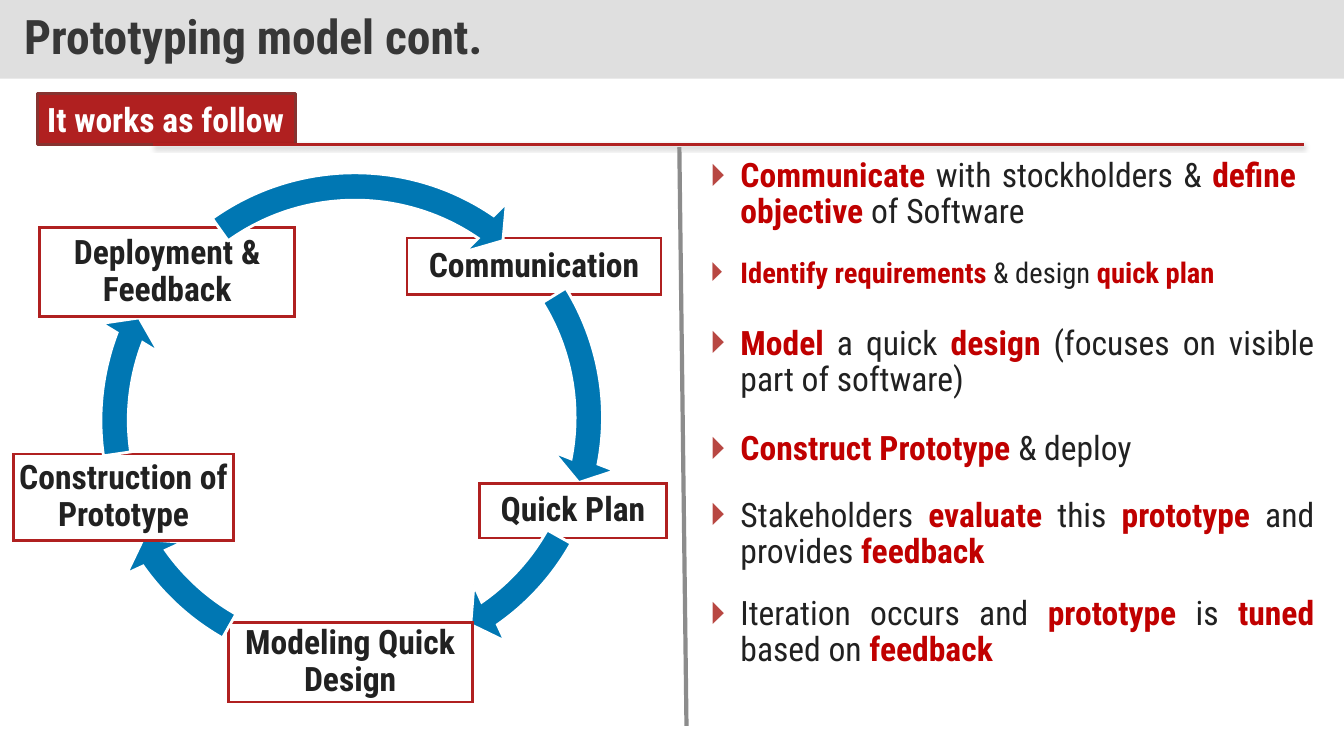
"""Build a slide on the prototyping model: a cycle of five steps beside a list."""
from math import cos, radians, sin, tan

from lxml import etree
from pptx import Presentation
from pptx.dml.color import RGBColor
from pptx.enum.shapes import MSO_CONNECTOR, MSO_SHAPE
from pptx.enum.text import MSO_ANCHOR, MSO_AUTO_SIZE, PP_ALIGN
from pptx.oxml.ns import qn
from pptx.util import Cm, Pt

RECTANGLE = MSO_SHAPE.RECTANGLE
STRAIGHT = MSO_CONNECTOR.STRAIGHT
TOP, MIDDLE = MSO_ANCHOR.TOP, MSO_ANCHOR.MIDDLE
LEFT, CENTER, JUSTIFY = PP_ALIGN.LEFT, PP_ALIGN.CENTER, PP_ALIGN.JUSTIFY
NO_AUTOFIT = MSO_AUTO_SIZE.NONE

FONT = "Roboto Condensed"
WHITE = RGBColor(0xFF, 0xFF, 0xFF)
SILVER = RGBColor(0xC0, 0xC0, 0xC0)
GRAY = RGBColor(0x8C, 0x8C, 0x8C)
CHARCOAL = RGBColor(0x37, 0x37, 0x37)
INK = RGBColor(0x21, 0x21, 0x21)
RED = RGBColor(0xB0, 0x20, 0x20)
DARK_RED = RGBColor(0x86, 0x33, 0x30)
ACCENT = RGBColor(0xC0, 0x00, 0x00)
BLUE = RGBColor(0x00, 0x77, 0xB3)


def write(para, text, size=24, color=INK, bold=False, align=LEFT, spacing=0.9):
    """Write text into a paragraph; parts between asterisks are bold and red."""
    para.alignment = align
    para.line_spacing = spacing
    for index, part in enumerate(text.split("*")):
        if part:
            marked = index % 2 == 1
            span = para.add_run()
            span.text = part
            span.font.name = FONT
            span.font.size = Pt(size)
            span.font.bold = bold or marked
            span.font.color.rgb = ACCENT if marked else color


def prepare(shape, side, edge, anchor):
    """Set the text margins and anchor of a shape and return its first paragraph."""
    frame = shape.text_frame
    frame.word_wrap = True
    frame.auto_size = NO_AUTOFIT
    frame.margin_left = frame.margin_right = Cm(side)
    frame.margin_top = frame.margin_bottom = Cm(edge)
    frame.vertical_anchor = anchor
    return frame.paragraphs[0]


deck = Presentation()
deck.slide_width, deck.slide_height = Cm(33.87), Cm(19.05)
page = deck.slides.add_slide(deck.slide_layouts[1])
title, body = page.placeholders
shapes = page.shapes

title.left, title.top, title.width, title.height = Cm(0), Cm(0), Cm(33.87), Cm(1.98)
title.fill.solid()
title.fill.fore_color.rgb = SILVER
bar_color = title.element.spPr.find(".//" + qn("a:srgbClr"))
etree.SubElement(bar_color, qn("a:alpha"), val="50000")
write(prepare(title, 0.61, 0.3, MIDDLE), "Prototyping model cont.", size=34, color=CHARCOAL, bold=True)

tag = shapes.add_shape(RECTANGLE, Cm(0.94), Cm(2.36), Cm(6.5), Cm(1.28))
tag.shadow.inherit = False
tag.fill.solid()
tag.fill.fore_color.rgb = RED
tag.line.color.rgb = DARK_RED
tag.line.width = Pt(2)
write(prepare(tag, 0.25, 0.13, TOP), "It works as follow", color=WHITE, bold=True, spacing=1.0)

RULES = [
    (3.86, 3.64, 32.87, 3.64, RED, 2.25, True),
    (17.12, 3.71, 17.3, 18.29, GRAY, 3, False),
]
for x1, y1, x2, y2, color, weight, shaded in RULES:
    rule = shapes.add_connector(STRAIGHT, Cm(x1), Cm(y1), Cm(x2), Cm(y2))
    rule.line.color.rgb = color
    rule.line.width = Pt(weight)
    effects = etree.SubElement(rule.element.spPr, qn("a:effectLst"))
    if shaded:
        shadow = etree.SubElement(effects, qn("a:outerShdw"), blurRad=str(Pt(3.1)),
                                  dist=str(Pt(1.6)), dir="5400000", rotWithShape="0")
        shade = etree.SubElement(shadow, qn("a:srgbClr"), val="000000")
        etree.SubElement(shade, qn("a:alpha"), val="38000")

CYCLE = 13.31
OUTER, INNER = 6.19, 5.5
HEAD_OUTER, HEAD_INNER, TIP = 6.64, 5.03, 5.83
TIP_TURN = 5.4
STEPS = [
    ("Communication", (10.26, 6, 6.4, 1.42), (2.34, 3.86), (-31.7, 11)),
    ("Quick Plan", (12.09, 12.19, 4.7, 1.37), (2.34, 4.01), (29.3, 55.1)),
    ("Modeling Quick Design", (5.75, 15.68, 6.15, 2.01), (2.01, 4.04), (119.6, 144.8)),
    ("Construction of Prototype", (0.35, 11.44, 5.53, 2.18), (2.08, 3.94), (171.7, 200.9)),
    ("Deployment & Feedback", (1, 5.73, 6.43, 2.25), (2.29, 3.89), (234.5, 304.4)),
]
for name, place, (left, top), (start, end) in STEPS:
    box = shapes.add_shape(RECTANGLE, *map(Cm, place))
    write(prepare(box, 0.08, 0.08, MIDDLE), name, bold=True, align=CENTER)

    bend = 4 / 3 * tan(radians(end - start) / 4)
    stretch = (1 + bend ** 2) ** 0.5
    turn = (end - start) / 2 - 0.5 * (end - start)
    lean = 180 / 3.14159 * bend / (1 + bend ** 2 / 3)
    segments = [
        ("moveTo", [(OUTER, start)]),
        ("cubicBezTo", [(OUTER * stretch, start + lean), (OUTER * stretch, end - lean), (OUTER, end)]),
        ("lnTo", [(HEAD_OUTER, end + 0.7)]),
        ("lnTo", [(TIP, end + TIP_TURN)]),
        ("lnTo", [(HEAD_INNER, end - 1)]),
        ("lnTo", [(INNER, end)]),
        ("cubicBezTo", [(INNER * stretch, end - lean), (INNER * stretch, start + lean), (INNER, start)]),
    ]
    builder = shapes.build_freeform(Cm(left), Cm(top))
    builder.add_line_segments([(Cm(left + CYCLE), Cm(top + CYCLE))], close=True)
    arrow = builder.convert_to_shape()
    outline = arrow.element.spPr.find(".//" + qn("a:path"))
    for child in list(outline):
        outline.remove(child)
    for kind, points in segments:
        segment = etree.SubElement(outline, qn("a:" + kind))
        for radius, angle in points:
            etree.SubElement(segment, qn("a:pt"),
                             x=str(Cm(CYCLE / 2 + radius * cos(radians(angle)))),
                             y=str(Cm(CYCLE / 2 + radius * sin(radians(angle)))))
    etree.SubElement(outline, qn("a:close"))

    for shape, fill, line in ((box, WHITE, RED), (arrow, BLUE, WHITE)):
        shape.shadow.inherit = False
        shape.fill.solid()
        shape.fill.fore_color.rgb = fill
        shape.line.color.rgb = line
        shape.line.width = Pt(2)
        etree.SubElement(shape.element.spPr.find(qn("a:ln")), qn("a:miter"), lim="800000")

ITEMS = [
    ("*Communicate *with stockholders & *define objective *of Software", 24, 0.9, 0, 0.46),
    ("*Identify requirements *& design *quick plan*", 20.4, 0.8, 22, 0),
    ("*Model *a quick *design *(focuses on visible part of software)", 24, 0.9, 26.5, 0),
    ("*Construct Prototype* & deploy", 24, 0.9, 23.5, 0),
    ("Stakeholders *evaluate *this *prototype *and provides *feedback*", 24, 0.9, 21.5, 0),
    ("Iteration occurs and *prototype* is *tuned *based on *feedback*", 24, 0.9, 18.5, 0),
]
body.left, body.top, body.width, body.height = Cm(17.67), Cm(3.86), Cm(15.7), Cm(13.28)
para = prepare(body, 0.25, 0.13, TOP)
for index, (text, size, spacing, gap, right_indent) in enumerate(ITEMS):
    if index:
        para = body.text_frame.add_paragraph()
    write(para, text, size=size, align=JUSTIFY, spacing=spacing)
    para.space_before, para.space_after = Pt(gap), Pt(0)
    layout = para._p.get_or_add_pPr()
    layout.set("marL", str(Cm(0.74)))
    layout.set("marR", str(Cm(right_indent)))
    layout.set("indent", str(Cm(-0.74)))
    bullet_color = etree.SubElement(layout, qn("a:buClr"))
    etree.SubElement(bullet_color, qn("a:srgbClr"), val="B84742")
    etree.SubElement(layout, qn("a:buChar"), char="🞂")

deck.save("out.pptx")
